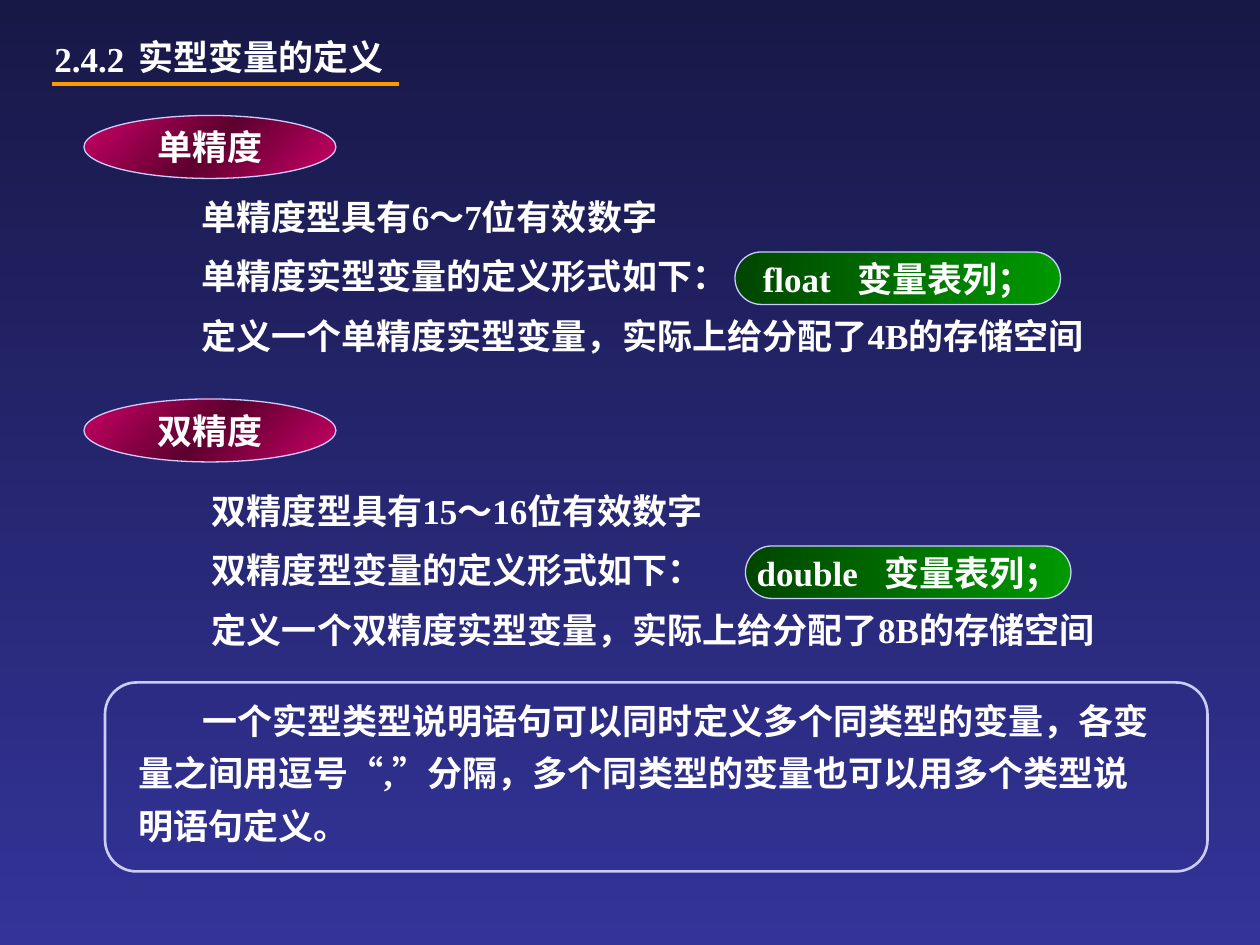
import pptx
import pptx.util
import pptx.dml.color
import pptx.enum.shapes
import pptx.enum.text
import pptx.oxml
import pptx.oxml.ns

Pt = pptx.util.Pt
Kind = pptx.enum.shapes.MSO_SHAPE
Align = pptx.enum.text.PP_ALIGN
Anchor = pptx.enum.text.MSO_ANCHOR

FONT, SIZE = "Times New Roman", 20
WHITE, PALE, ORANGE = "FFFFFF", "CCCCFF", "FF9900"
NIGHT = ["181847", "333399"]
ROSE = ["CC0066", "5E002F", "CC0066"]
GREEN = ["004600", "009900"]

NUMBER, TITLE = "2.4.2", "实型变量的定义"
TYPES = [
    dict(name="单精度", top=66, left=108, gap=42, word="float", facts=[
        "单精度型具有6～7位有效数字",
        "单精度实型变量的定义形式如下：",
        "定义一个单精度实型变量，实际上给分配了4B的存储空间"]),
    dict(name="双精度", top=228, left=114, gap=48, word="double", facts=[
        "双精度型具有15～16位有效数字",
        "双精度型变量的定义形式如下：",
        "定义一个双精度实型变量，实际上给分配了8B的存储空间"]),
]
LIST = "变量表列；"
NOTE = ["一个实型类型说明语句可以同时定义多个同类型的变量，各变",
        "量之间用逗号“,”分隔，多个同类型的变量也可以用多个类型说",
        "明语句定义。"]


def color(code):
    return pptx.dml.color.RGBColor.from_string(code)


def shade(fill, codes, angle):
    """Fill with evenly spaced stops; the angle runs counter-clockwise."""
    fill.gradient()
    fill.gradient_angle = angle
    last = len(codes) - 1
    stops = "".join(
        f'<a:gs pos="{100000 * i // last}"><a:srgbClr val="{code}"/></a:gs>'
        for i, code in enumerate(codes))
    ns = pptx.oxml.ns.nsdecls("a")
    new = pptx.oxml.parse_xml(f"<a:gsLst {ns}>{stops}</a:gsLst>")
    old = fill._fill._gradFill.find(pptx.oxml.ns.qn("a:gsLst"))
    old.getparent().replace(old, new)


def add_run(para, text):
    run = para.add_run()
    run.text = text
    font = run.font
    font.name, font.size, font.bold = FONT, Pt(SIZE), True
    font.color.rgb = color(WHITE)
    return run


def write(shape, lines, gap=0, wrap=True):
    frame = shape.text_frame
    frame.word_wrap = wrap
    frame.auto_size = pptx.enum.text.MSO_AUTO_SIZE.NONE
    frame.vertical_anchor = Anchor.TOP
    for i, line in enumerate(lines):
        para = frame.add_paragraph() if i else frame.paragraphs[0]
        para.alignment = Align.LEFT
        para.space_before = Pt(gap if i else 0)
        add_run(para, line)
    return frame


def add_box(slide, x, y, w, h, lines, gap=0):
    box = slide.shapes.add_textbox(Pt(x), Pt(y), Pt(w), Pt(h))
    return write(box, lines, gap)


def add_shape(slide, kind, x, y, w, h, width):
    shape = slide.shapes.add_shape(kind, Pt(x), Pt(y), Pt(w), Pt(h))
    shape.shadow.inherit = False
    shape.line.color.rgb = color(PALE)
    shape.line.width = Pt(width)
    return shape


def center(shape):
    frame = shape.text_frame
    frame.word_wrap = False
    frame.vertical_anchor = Anchor.MIDDLE
    para = frame.paragraphs[0]
    para.alignment = Align.CENTER
    return para


def add_type(slide, kind):
    top, left = kind["top"], kind["left"]
    oval = add_shape(slide, Kind.OVAL, 48, top, 144, 36, 0.75)
    shade(oval.fill, ROSE, 315)
    add_run(center(oval), kind["name"])

    body = top + kind["gap"]
    add_box(slide, left, body, 546, 103, kind["facts"], SIZE / 2)

    pill = add_shape(slide, Kind.ROUNDED_RECTANGLE,
                     left + 312, body + 36, 186, 30, 0.75)
    pill.adjustments[0] = 0.5
    shade(pill.fill, GREEN, 0)
    para = center(pill)
    add_run(para, kind["word"])
    space = add_run(para, " ")
    space.font._element.set("spc", "1000")
    add_run(para, LIST)


def main():
    deck = pptx.Presentation()
    deck.slide_width, deck.slide_height = Pt(720), Pt(540)
    slide = deck.slides.add_slide(deck.slide_layouts[5])
    shade(slide.background.fill, NIGHT, 270)

    add_box(slide, 24, 18, 66, 31, [NUMBER])
    title = slide.shapes.title
    title.left, title.top, title.width, title.height = map(
        Pt, (72, 16.5, 168, 31))
    write(title, [TITLE], wrap=False)

    rule = slide.shapes.add_connector(
        pptx.enum.shapes.MSO_CONNECTOR.STRAIGHT,
        Pt(30), Pt(48), Pt(228), Pt(48))
    rule.line.color.rgb = color(ORANGE)
    rule.line.width = Pt(2.25)
    props = rule._element.spPr
    props.append(pptx.oxml.parse_xml(
        f'<a:effectLst {pptx.oxml.ns.nsdecls("a")}/>'))

    for kind in TYPES:
        add_type(slide, kind)

    note = add_box(slide, 72, 396, 612, 94, NOTE, SIZE * 0.3)
    note.paragraphs[0]._p.get_or_add_pPr().set("indent", str(Pt(36.5)))
    frame = add_shape(slide, Kind.ROUNDED_RECTANGLE, 60, 390, 630, 108, 1.5)
    frame.fill.background()
    deck.save("out.pptx")


if __name__ == "__main__":
    main()
